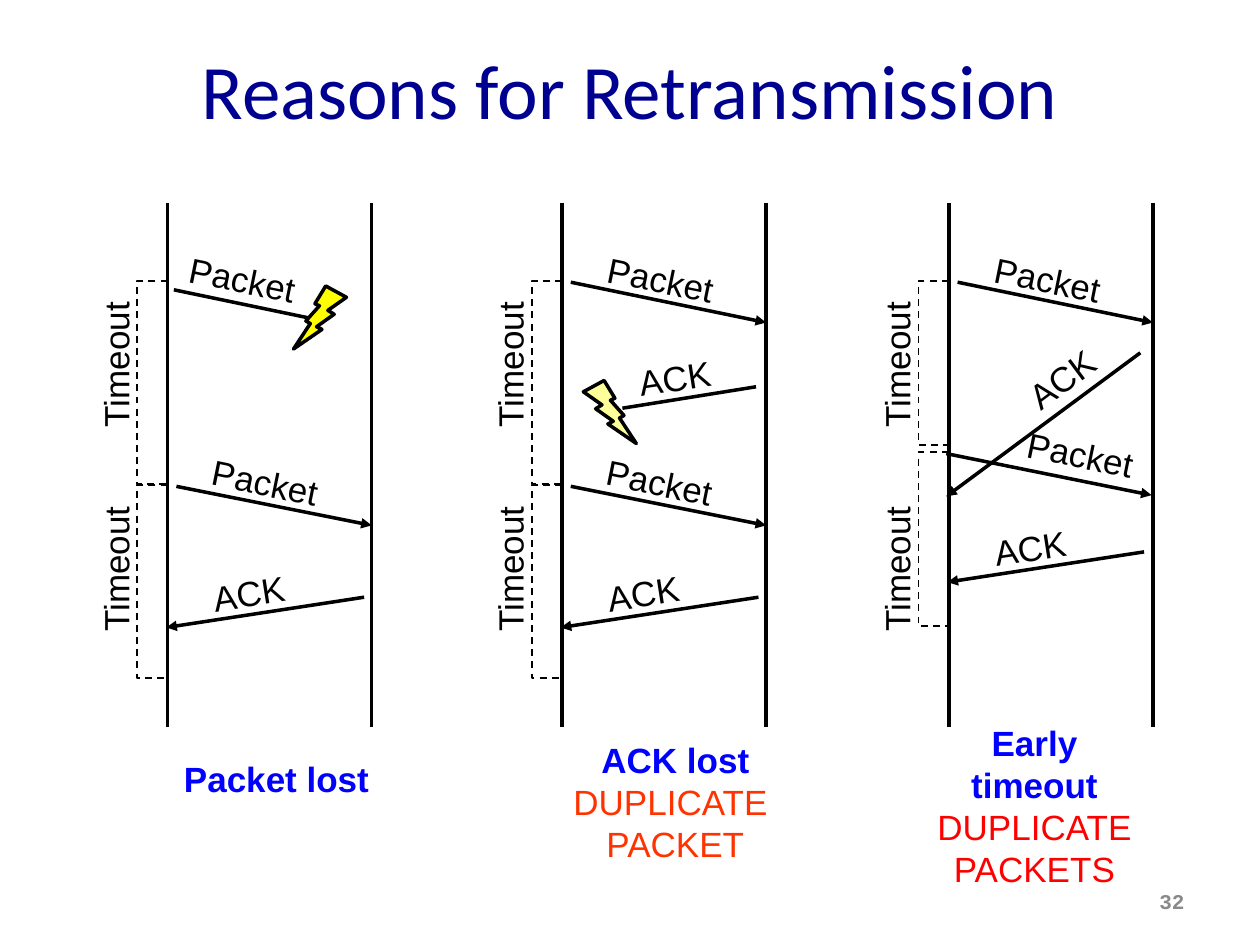
from dataclasses import dataclass

from lxml.etree import SubElement
from pptx import Presentation
from pptx.dml.color import RGBColor
from pptx.enum.dml import MSO_LINE
from pptx.enum.shapes import MSO_CONNECTOR, MSO_SHAPE
from pptx.enum.text import MSO_ANCHOR, PP_ALIGN
from pptx.oxml.ns import qn
from pptx.util import Inches, Pt


@dataclass(frozen=True)
class Theme:
    title_font: str = "Calibri"
    body_font: str = "Arial"
    number_font: str = "Courier New"
    title_size: int = 44
    body_size: int = 20
    number_size: int = 12
    title: str = "000090"
    ink: str = "000000"
    heading: str = "0000FF"
    orange: str = "FF3300"
    red: str = "FF0000"
    number: str = "898989"
    bolt: str = "FFFF00"
    pale_bolt: str = "FFFF99"


THEME = Theme()
LANE_TOP, LANE_BOTTOM, LANE_WIDTH = 1.61, 5.77, 1.62
BRACKET_DEPTH = 0.24
LABEL_HEIGHT = 0.43
PACKET_ANGLE, ACK_ANGLE, EARLY_ACK_ANGLE = 11.5, -8.8, -36.6


def write(p, text, font=THEME.body_font, size=THEME.body_size,
          color=THEME.ink, bold=False, align=PP_ALIGN.CENTER):
    p.alignment = align
    p.text = text
    for r in p.runs:
        r.font.name = font
        r.font.size = Pt(size)
        r.font.bold = bold
        r.font.color.rgb = RGBColor.from_string(color)


class SlideBuilder:
    def __init__(self, slide, theme):
        self.s = slide
        self.theme = theme

    def title(self, text):
        sp = self.s.shapes.title
        sp.left, sp.top, sp.width, sp.height = map(Inches, (0.5, 0.08, 9, 1.25))
        tf = sp.text_frame
        tf.vertical_anchor = MSO_ANCHOR.MIDDLE
        write(tf.paragraphs[0], text, font=self.theme.title_font,
              size=self.theme.title_size, color=self.theme.title)

    def text(self, box, *lines, angle=0, wrap=False):
        """Add a text box; each line is a (text, format) pair."""
        sp = self.s.shapes.add_textbox(*map(Inches, box))
        sp.rotation = angle
        tf = sp.text_frame
        tf.word_wrap = wrap
        tf.vertical_anchor = MSO_ANCHOR.MIDDLE
        for i, (text, fmt) in enumerate(lines):
            p = tf.add_paragraph() if i else tf.paragraphs[0]
            write(p, text, **fmt)

    def outline(self, sp, width, dash=None):
        sp.line.color.rgb = RGBColor.from_string(self.theme.ink)
        sp.line.width = Pt(width)
        if dash:
            sp.line.dash_style = dash

    def line(self, start, end, arrow=False):
        sp = self.s.shapes.add_connector(
            MSO_CONNECTOR.STRAIGHT, *map(Inches, (*start, *end)))
        self.outline(sp, 2)
        if arrow:
            SubElement(sp.line._get_or_add_ln(), qn("a:tailEnd"), type="triangle")
        SubElement(sp._element.spPr, qn("a:effectLst"))

    def lanes(self, x):
        for lane in (x, x + LANE_WIDTH):
            self.line((lane, LANE_TOP), (lane, LANE_BOTTOM))

    def message(self, x, text, start, end, label, angle, arrow=True):
        """Draw a labelled message; horizontal places are offsets from x."""
        self.line((x + start[0], start[1]), (x + end[0], end[1]), arrow)
        width = 1.05 if text == "Packet" else 0.77
        self.text((x + label[0], label[1], width, LABEL_HEIGHT),
                  (text, {}), angle=angle)

    def timeout(self, x, top, bottom, label_top):
        left = x - BRACKET_DEPTH
        points = [(left, top), (left, bottom), (x, bottom)]
        fb = self.s.shapes.build_freeform(Inches(x), Inches(top))
        fb.add_line_segments(
            [(Inches(px), Inches(py)) for px, py in points], close=False)
        sp = fb.convert_to_shape()
        sp.shadow.inherit = False
        sp.fill.background()
        self.outline(sp, 1, MSO_LINE.DASH)
        self.text((x - 1.08, label_top, 1.33, LABEL_HEIGHT),
                  ("Timeout", {}), angle=270, wrap=True)

    def bolt(self, x, y, color, flip=False):
        sp = self.s.shapes.add_shape(
            MSO_SHAPE.LIGHTNING_BOLT, *map(Inches, (x, y, 0.42, 0.5)))
        sp.shadow.inherit = False
        sp.fill.solid()
        sp.fill.fore_color.rgb = RGBColor.from_string(color)
        self.outline(sp, 2)
        if flip:
            sp._element.spPr.xfrm.set("flipH", "1")


def main():
    prs = Presentation()
    prs.slide_width, prs.slide_height = Inches(10), Inches(7.5)
    b = SlideBuilder(prs.slides.add_slide(prs.slide_layouts[5]), THEME)
    b.title("Reasons for Retransmission")

    packet_lost, ack_lost, early = columns = (1.33, 4.46, 7.53)
    for x in columns:
        b.lanes(x)
        first_end, second = (3.53, (3.59, 4.97)) if x == early else (3.84, (3.85, 5.38))
        b.timeout(x, 2.23, first_end, 2.68)
        b.timeout(x, *second, 4.3)

    # First attempt
    b.message(packet_lost, "Packet", (0.05, 2.3), (1.2, 2.54), (0.07, 2),
              PACKET_ANGLE, arrow=False)
    for x in (ack_lost, early):
        b.message(x, "Packet", (0.07, 2.24), (LANE_WIDTH, 2.56), (0.26, 2), PACKET_ANGLE)
    b.message(ack_lost, "ACK", (1.54, 3.07), (0.48, 3.24), (0.51, 2.78),
              ACK_ANGLE, arrow=False)
    b.message(early, "ACK", (1.52, 2.8), (-0.02, 3.94), (0.51, 2.79), EARLY_ACK_ANGLE)

    # Retransmission
    for x in (packet_lost, ack_lost):
        b.message(x, "Packet", (0.07, 3.86), (LANE_WIDTH, 4.17), (0.25, 3.61), PACKET_ANGLE)
        b.message(x, "ACK", (1.56, 4.74), (-0.01, 4.98), (0.26, 4.49), ACK_ANGLE)
    b.message(early, "Packet", (-0.02, 3.6), (1.61, 3.93), (0.52, 3.39), PACKET_ANGLE)
    b.message(early, "ACK", (1.55, 4.38), (-0.01, 4.62), (0.26, 4.13), ACK_ANGLE)

    b.bolt(2.33, 2.27, THEME.bolt, flip=True)
    b.bolt(4.63, 3.02, THEME.pale_bolt)

    heading = {"color": THEME.heading, "bold": True}
    b.text((1.36, 5.96, 1.67, LABEL_HEIGHT), ("Packet lost", heading))
    b.text((4.44, 5.81, 1.84, 1.1), ("ACK lost", heading),
           ("DUPLICATE \vPACKET", {"color": THEME.orange}))
    b.text((7.34, 5.84, 1.74, 1.1), ("Early timeout", heading),
           ("DUPLICATE\vPACKETS", {"color": THEME.red}), wrap=True)
    b.text((7.17, 6.95, 2.33, 0.4),
           ("32", {"font": THEME.number_font, "size": THEME.number_size,
                   "color": THEME.number, "bold": True, "align": PP_ALIGN.RIGHT}),
           wrap=True)
    prs.save("out.pptx")


if __name__ == "__main__":
    main()
